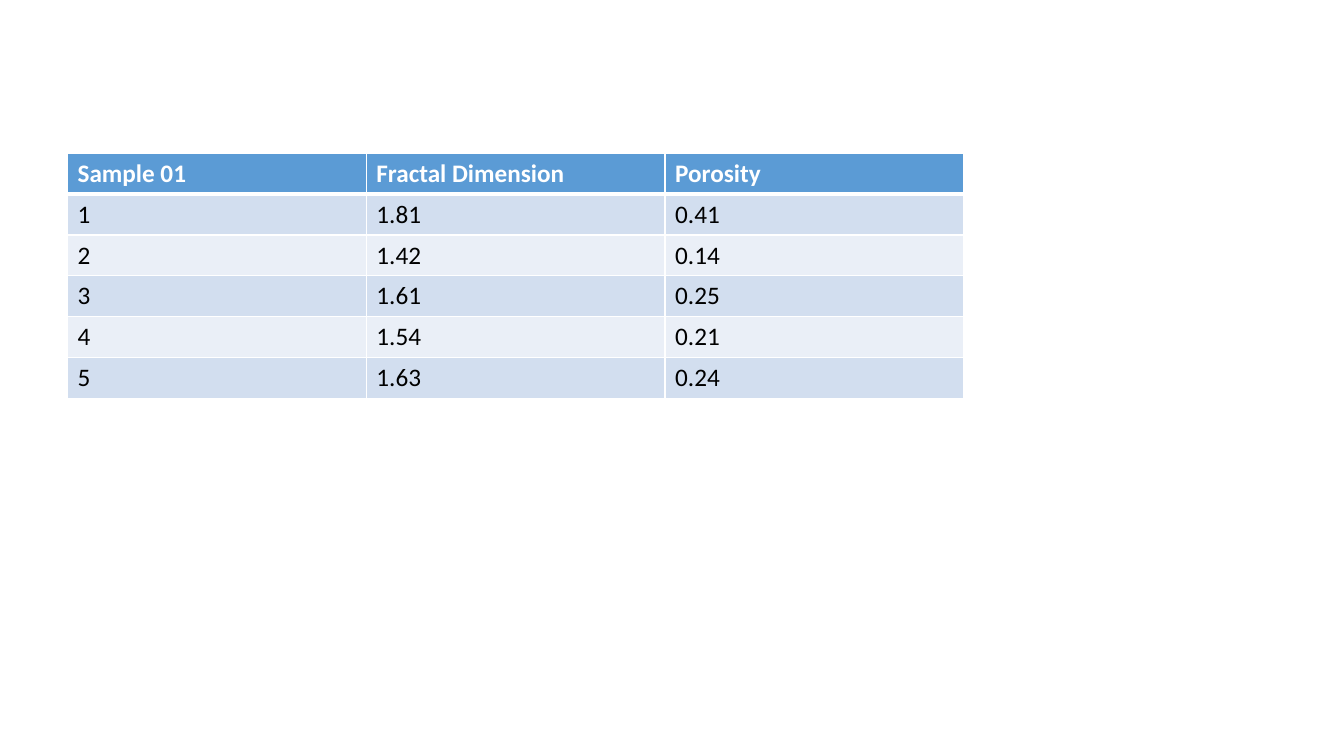
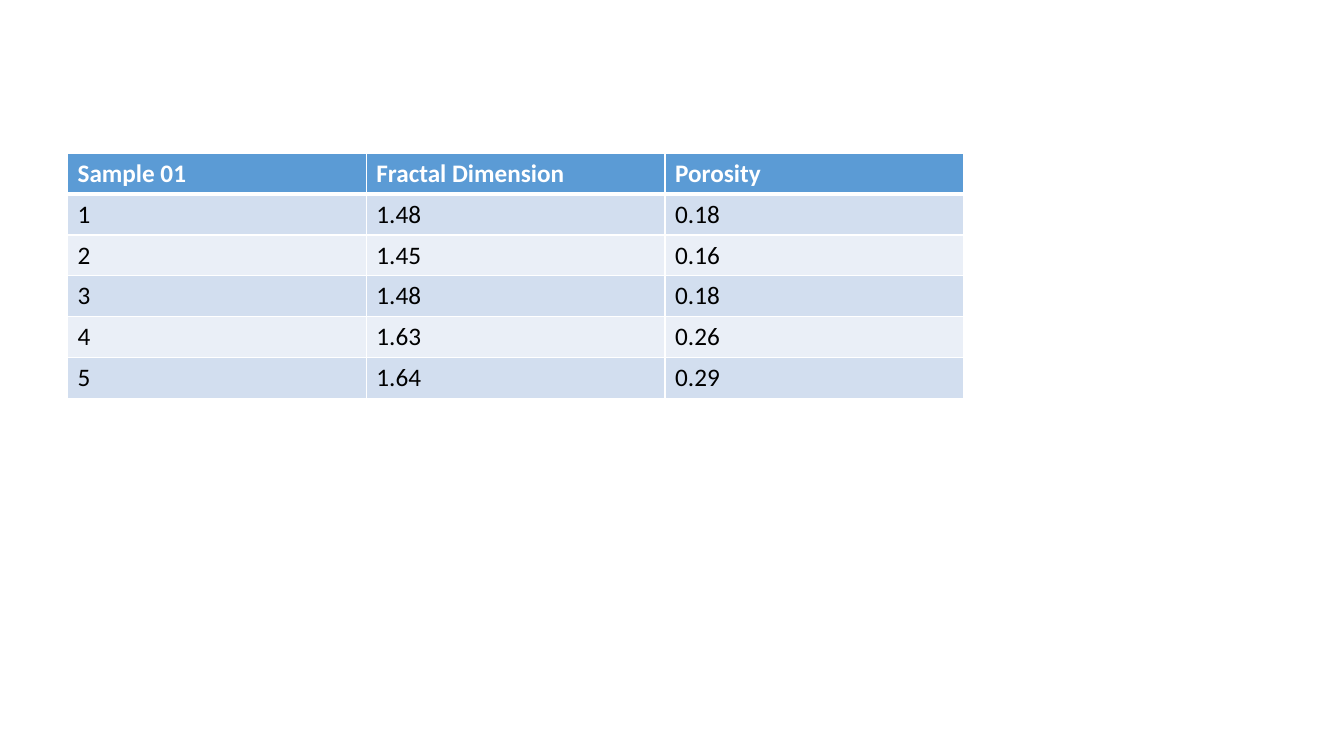
import pptx
import pptx.util
import pptx.dml.color
import pptx.oxml
import pptx.oxml.ns

Inches = pptx.util.Inches
HUES = {"head": "5B9BD5", "odd": "D2DEEF", "even": "EAEFF7",
        "white": "FFFFFF", "black": "000000"}
HEADS = ["Sample 01", "Fractal Dimension", "Porosity"]
DATA = [
    [("1.81", "0.41"), ("1.42", "0.14"), ("1.61", "0.25"),
     ("1.54", "0.21"), ("1.63", "0.24")],
    [("1.48", "0.18"), ("1.45", "0.16"), ("1.48", "0.18"),
     ("1.63", "0.26"), ("1.64", "0.29")],
]


def paint(hue):
    return pptx.dml.color.RGBColor.from_string(HUES[hue])


def edge(cell, side, width):
    line = pptx.oxml.parse_xml(
        f'<a:{side} {pptx.oxml.ns.nsdecls("a")} w="{pptx.util.Pt(width)}">'
        f'<a:solidFill><a:srgbClr val="{HUES["white"]}"/></a:solidFill>'
        f'</a:{side}>')
    cell._tc.get_or_add_tcPr().append(line)


deck = pptx.Presentation()
deck.slide_width = Inches(13.33)
deck.slide_height = Inches(7.5)

for pairs in DATA:
    slide = deck.slides.add_slide(deck.slide_layouts[6])
    rows = [HEADS] + [[str(n), *pair] for n, pair in enumerate(pairs, 1)]
    table = slide.shapes.add_table(
        len(rows), len(HEADS), Inches(0.67), Inches(1.52),
        Inches(8.89), Inches(2.43)).table
    for r, row in enumerate(rows):
        head = r == 0
        fill = "head" if head else "odd" if r % 2 else "even"
        for c, text in enumerate(row):
            cell = table.cell(r, c)
            edge(cell, "lnL", 1)
            edge(cell, "lnR", 1)
            edge(cell, "lnT", 3 if r == 1 else 1)
            edge(cell, "lnB", 3 if head else 1)
            cell.fill.solid()
            cell.fill.fore_color.rgb = paint(fill)
            cell.text_frame.text = text
            font = cell.text_frame.paragraphs[0].runs[0].font
            font.name = "Calibri"
            font.size = pptx.util.Pt(18)
            font.bold = head
            font.color.rgb = paint("white" if head else "black")

deck.save("out.pptx")
